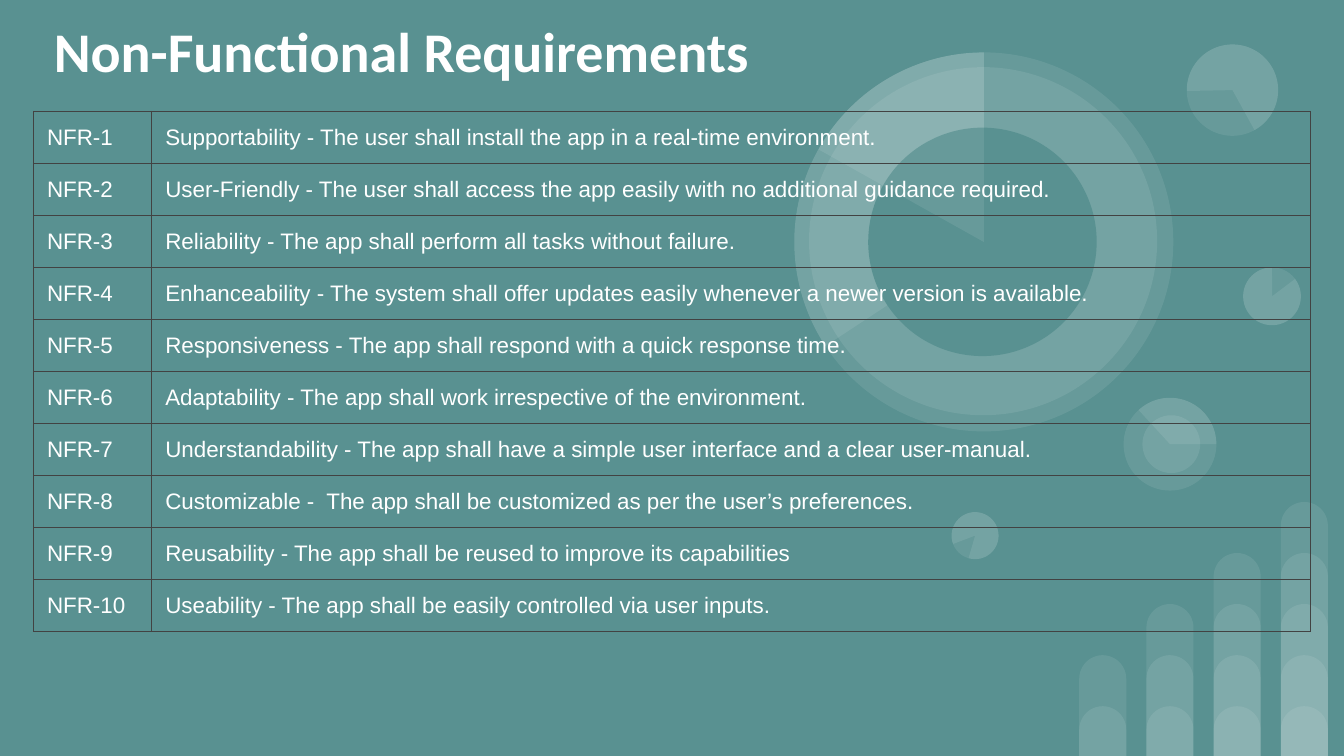
"""Build a slide that lists the non-functional requirements of an app."""
from dataclasses import dataclass

from lxml import etree
from pptx import Presentation
from pptx.dml.color import RGBColor
from pptx.enum.shapes import MSO_SHAPE
from pptx.enum.text import MSO_ANCHOR, MSO_AUTO_SIZE, PP_ALIGN
from pptx.oxml.ns import qn
from pptx.shapes.autoshape import Shape
from pptx.slide import Slide
from pptx.table import _Cell
from pptx.text.text import _Paragraph
from pptx.util import Inches, Pt

ELLIPSE, PIE = MSO_SHAPE.OVAL, MSO_SHAPE.PIE
BAR = MSO_SHAPE.ROUND_2_SAME_RECTANGLE
MIDDLE, LEFT, NO_FIT = MSO_ANCHOR.MIDDLE, PP_ALIGN.LEFT, MSO_AUTO_SIZE.NONE
TITLE_ONLY = 5
SLIDE_WIDTH = 10
SLIDE_HEIGHT = SLIDE_WIDTH * 9 / 16
ADJUSTMENT_PER_DEGREE = 0.6


@dataclass(frozen=True)
class Theme:
    background: str = "599191"
    light: str = "FFFFFF"
    border: str = "424242"
    title_font: str = "Calibri"
    body_font: str = "Arial"
    title_size: float = 30
    body_size: float = 12
    border_width: float = 0.75
    glass_opacity: int = 9


@dataclass(frozen=True)
class Disc:
    left: float
    top: float
    size: float
    rotation: float = 0
    pie_start: float | None = None
    pie_end: float = 270
    opaque: bool = False


THEME = Theme()
BAR_COLUMNS = 4
BAR_LEFT, BAR_PITCH, BAR_WIDTH = 8.03, 0.5, 0.35
BAR_BASE, BAR_STEP = 0.37, 0.38

DISCS = (
    Disc(9.25, 1.99, 0.43),
    Disc(7.08, 3.81, 0.35, 196.2),
    Disc(8.36, 2.96, 0.69, 90),
    Disc(8.36, 2.96, 0.69, 90, 137.41),
    Disc(8.5, 3.09, 0.43, 90),
    Disc(9.25, 1.99, 0.43, 0, 322.95),
    Disc(8.83, 0.33, 0.68, 215.9),
    Disc(8.83, 0.33, 0.68, 215.9, 322.95, 205.23),
    Disc(5.91, 0.39, 2.82),
    Disc(6.02, 0.5, 2.59, 34.1),
    Disc(5.91, 0.39, 2.82, 0, 146.69),
    Disc(6.46, 0.95, 1.7, 34.1, opaque=True),
    Disc(5.91, 0.39, 2.82, 0, 209.24),
    Disc(7.08, 3.81, 0.35, 196.2, 322.95),
)

REQUIREMENTS = (
    "Supportability - The user shall install the app in a real-time environment.",
    "User-Friendly - The user shall access the app easily with no additional guidance required.",
    "Reliability - The app shall perform all tasks without failure.",
    "Enhanceability - The system shall offer updates easily whenever a newer version is available.",
    "Responsiveness - The app shall respond with a quick response time.",
    "Adaptability - The app shall work irrespective of the environment.",
    "Understandability - The app shall have a simple user interface and a clear user-manual.",
    "Customizable -  The app shall be customized as per the user’s preferences.",
    "Reusability - The app shall be reused to improve its capabilities",
    "Useability - The app shall be easily controlled via user inputs.",
)
TABLE_LEFT, TABLE_TOP = 0.25, 0.83
COLUMN_WIDTHS = (0.88, 8.62)
ROW_HEIGHT = 0.38
MARGINS = {f"margin_{side}": Inches(0.1) for side in ("left", "top", "right", "bottom")}


def apply_format(target: object, values: dict[str, object]) -> None:
    """Set each named format value on the target."""
    for name, value in values.items():
        setattr(target, name, value)


def write_text(paragraph: _Paragraph, text: str, font: str, size: float, bold: bool) -> None:
    """Write one formatted run into a paragraph."""
    paragraph.alignment = LEFT
    run = paragraph.add_run()
    run.text = text
    apply_format(run.font, {"name": font, "size": Pt(size), "bold": bold})
    run.font.color.rgb = RGBColor.from_string(THEME.light)


def draw_ornament(slide: Slide, kind: MSO_SHAPE, left: float, top: float,
                  width: float, height: float, opaque: bool = False) -> Shape:
    """Draw an outline-free shape, either glassy or in the background colour."""
    ornament = slide.shapes.add_shape(
        kind, Inches(left), Inches(top), Inches(width), Inches(height))
    ornament.shadow.inherit = False
    ornament.fill.solid()
    ornament.fill.fore_color.rgb = RGBColor.from_string(
        THEME.background if opaque else THEME.light)
    if not opaque:
        tint = next(ornament.element.iter(qn("a:srgbClr")))
        etree.SubElement(tint, qn("a:alpha"), val=str(THEME.glass_opacity * 1000))
    ornament.line.fill.background()
    return ornament


def draw_bars(slide: Slide) -> None:
    """Draw the rising columns of overlapping bars."""
    for column in range(BAR_COLUMNS):
        for level in range(column + 2):
            height = BAR_BASE + BAR_STEP * level
            bar = draw_ornament(slide, BAR, BAR_LEFT + BAR_PITCH * column,
                                SLIDE_HEIGHT - height, BAR_WIDTH, height)
            bar.adjustments[0] = 0.5
            bar.adjustments[1] = 0


def draw_disc(slide: Slide, disc: Disc) -> None:
    """Draw a full disc, or a pie when it has a start angle."""
    kind = ELLIPSE if disc.pie_start is None else PIE
    ornament = draw_ornament(slide, kind, disc.left, disc.top, disc.size, disc.size, disc.opaque)
    ornament.rotation = disc.rotation
    if disc.pie_start is not None:
        for index, angle in enumerate((disc.pie_start, disc.pie_end)):
            ornament.adjustments[index] = angle * ADJUSTMENT_PER_DEGREE


def draw_title(slide: Slide) -> None:
    """Place the title in front of the ornaments."""
    title = slide.shapes.title
    apply_format(title, {"left": Inches(0.3), "top": Inches(0),
                         "width": Inches(6.26), "height": Inches(0.74)})
    apply_format(title.text_frame, MARGINS | {
        "word_wrap": True, "auto_size": NO_FIT, "vertical_anchor": MIDDLE})
    write_text(title.text_frame.paragraphs[0], "Non-Functional Requirements",
               THEME.title_font, THEME.title_size, True)
    title.element.getparent().append(title.element)


def fill_cell(cell: _Cell, text: str) -> None:
    """Write a clear, bordered table cell."""
    apply_format(cell, MARGINS)
    properties = cell._tc.get_or_add_tcPr()
    for edge in ("lnL", "lnR", "lnT", "lnB"):
        line = etree.SubElement(properties, qn(f"a:{edge}"), w=str(Pt(THEME.border_width)))
        paint = etree.SubElement(line, qn("a:solidFill"))
        etree.SubElement(paint, qn("a:srgbClr"), val=THEME.border)
    cell.fill.background()
    write_text(cell.text_frame.paragraphs[0], text, THEME.body_font, THEME.body_size, False)


def draw_requirements(slide: Slide) -> None:
    """Draw the numbered table of requirements."""
    count = len(REQUIREMENTS)
    table = slide.shapes.add_table(
        count, len(COLUMN_WIDTHS), Inches(TABLE_LEFT), Inches(TABLE_TOP),
        Inches(sum(COLUMN_WIDTHS)), Inches(ROW_HEIGHT * count)).table
    apply_format(table, {"first_row": False, "horz_banding": False})
    for column, width in zip(table.columns, COLUMN_WIDTHS):
        column.width = Inches(width)
    for number, (row, requirement) in enumerate(zip(table.rows, REQUIREMENTS), start=1):
        row.height = Inches(ROW_HEIGHT)
        for cell, text in zip(row.cells, (f"NFR-{number}", requirement)):
            fill_cell(cell, text)


def main() -> None:
    """Build and save the presentation."""
    presentation = Presentation()
    apply_format(presentation, {"slide_width": Inches(SLIDE_WIDTH),
                                "slide_height": Inches(SLIDE_HEIGHT)})
    slide = presentation.slides.add_slide(presentation.slide_layouts[TITLE_ONLY])
    slide.background.fill.solid()
    slide.background.fill.fore_color.rgb = RGBColor.from_string(THEME.background)
    draw_bars(slide)
    for disc in DISCS:
        draw_disc(slide, disc)
    draw_title(slide)
    draw_requirements(slide)
    presentation.save("out.pptx")


if __name__ == "__main__":
    main()
